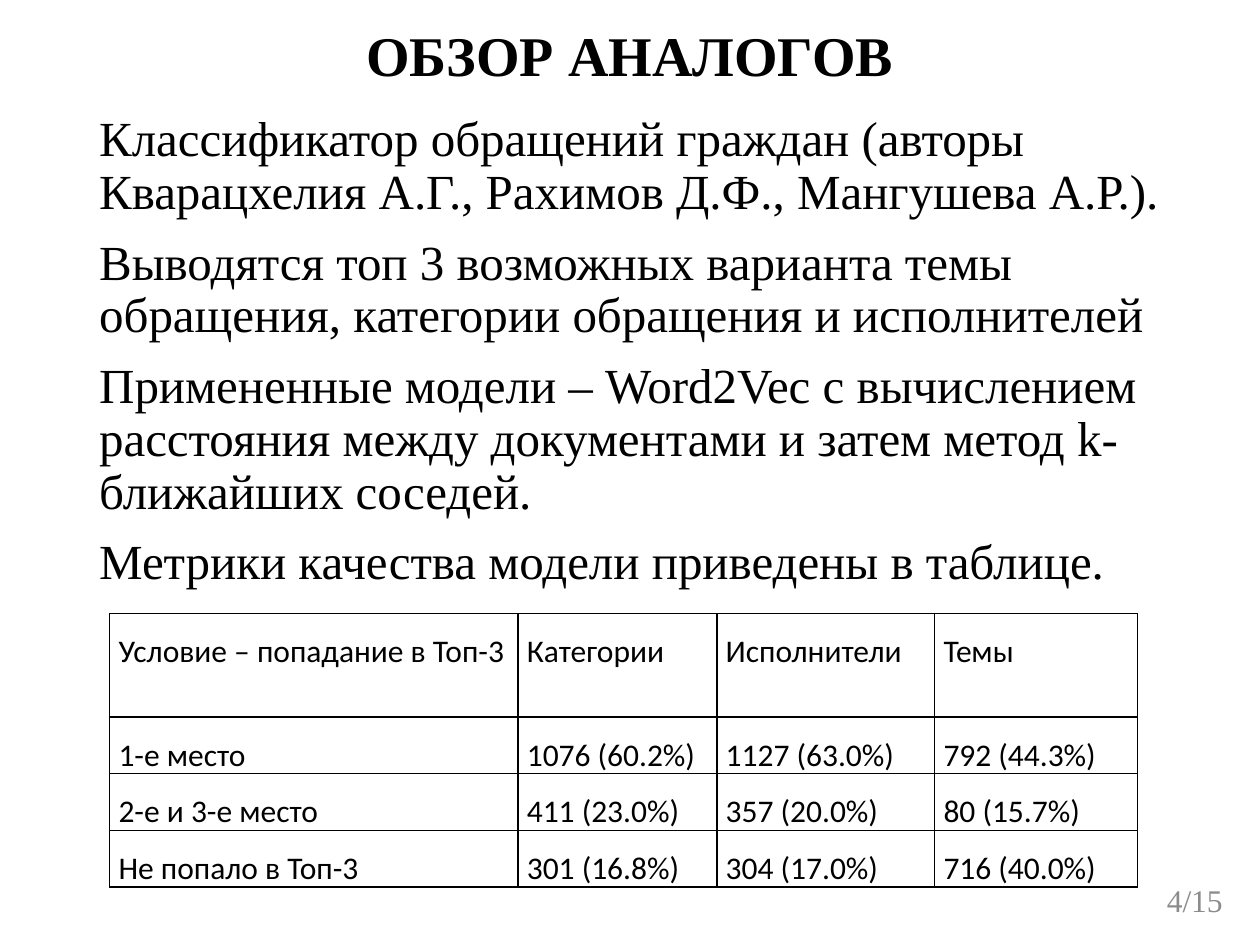
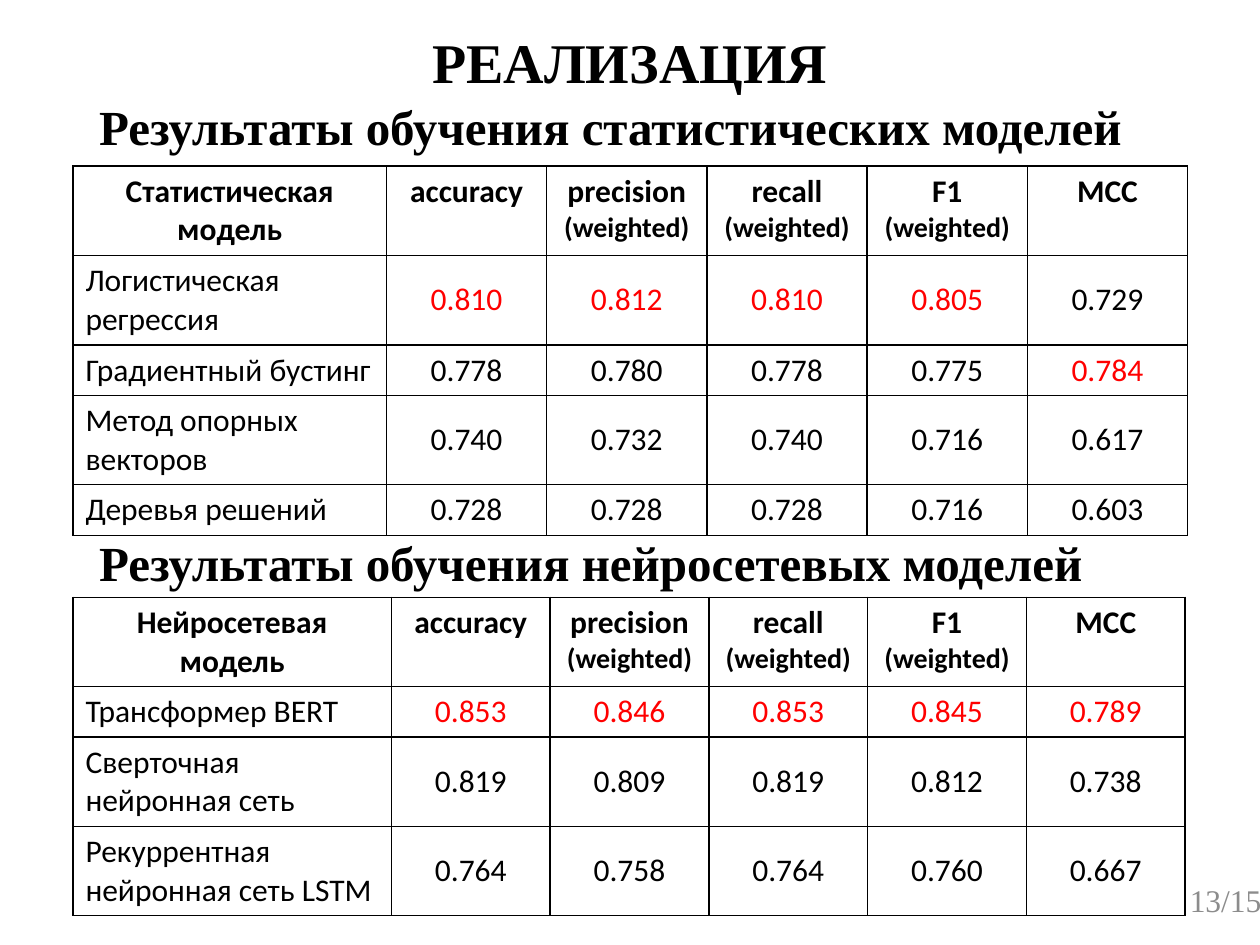
from lxml import etree
from pptx import Presentation
from pptx import util as u
from pptx.dml import color
from pptx.enum import text
from pptx.oxml import ns

# Shared style
SERIF, SANS = "Times New Roman", "Calibri"
BLACK, RED, GRAY = "000000", "FF0000", "8C8C8C"
LEFT, TITLE_WIDTH, LINE_HEIGHT = 1.75, 21.9, 1.35
ALIGN, ANCHOR = text.PP_ALIGN, text.MSO_ANCHOR
WEIGHTED = "(weighted)"
METRICS = ["accuracy", "precision " + WEIGHTED, "recall " + WEIGHTED,
           "F1 " + WEIGHTED, "MCC"]

# Slide content
OVERVIEW = [
    "Классификатор обращений граждан (авторы Кварацхелия А.Г., "
    "Рахимов Д.Ф., Мангушева А.Р.).",
    "Выводятся топ 3 возможных варианта темы обращения, "
    "категории обращения и исполнителей",
    "Примененные модели – Word2Vec c вычислением расстояния между "
    "документами и затем метод k-ближайших соседей.",
    "Метрики качества модели приведены в таблице.",
]
TOP3 = [
    ["Условие – попадание в Топ-3", "Категории", "Исполнители", "Темы"],
    ["1-е место", "1076 (60.2%)", "1127 (63.0%)", "792 (44.3%)"],
    ["2-е и 3-е место", "411 (23.0%)", "357 (20.0%)", "80 (15.7%)"],
    ["Не попало в Топ-3", "301 (16.8%)", "304 (17.0%)", "716 (40.0%)"],
]
STATISTICAL = [
    ["Статистическая модель"] + METRICS,
    ["Логистическая регрессия", "0.810", "0.812", "0.810", "0.805", "0.729"],
    ["Градиентный бустинг", "0.778", "0.780", "0.778", "0.775", "0.784"],
    ["Метод опорных векторов", "0.740", "0.732", "0.740", "0.716", "0.617"],
    ["Деревья решений", "0.728", "0.728", "0.728", "0.716", "0.603"],
]
NEURAL = [
    ["Нейросетевая модель"] + METRICS,
    ["Трансформер BERT", "0.853", "0.846", "0.853", "0.845", "0.789"],
    ["Сверточная нейронная сеть", "0.819", "0.809", "0.819", "0.812", "0.738"],
    ["Рекуррентная нейронная сеть LSTM",
     "0.764", "0.758", "0.764", "0.760", "0.667"],
]


def rgb(value):
    return color.RGBColor.from_string(value)


def style_run(run, size, font, fill=BLACK, bold=False):
    run.font.size = u.Pt(size)
    run.font.name = font
    run.font.bold = bold
    run.font.color.rgb = rgb(fill)


# Text elements
def add_text(slide, box, lines, size, fill=BLACK, bold=False,
             align=ALIGN.LEFT, anchor=ANCHOR.TOP, spacing=None, before=0):
    frame = slide.shapes.add_textbox(*map(u.Cm, box)).text_frame
    frame.word_wrap = True
    frame.vertical_anchor = anchor
    frame.text = "\n".join(lines)
    for paragraph in frame.paragraphs:
        paragraph.alignment = align
        paragraph.line_spacing = spacing
        paragraph.space_before = u.Pt(before)
        for run in paragraph.runs:
            style_run(run, size, SERIF, fill, bold)


def add_title(slide, title, top):
    add_text(slide, (LEFT, top, TITLE_WIDTH, LINE_HEIGHT), [title], 32,
             bold=True, align=ALIGN.CENTER, anchor=ANCHOR.MIDDLE, spacing=0.9)


def add_body(slide, lines, top, width, height=LINE_HEIGHT, bold=False):
    add_text(slide, (LEFT, top, width, height), lines, 28, bold=bold,
             spacing=0.9, before=10)


def add_page_number(slide, number, left):
    add_text(slide, (left, 17.63, 5.72, 1.02), [f"{number}/15"], 18, GRAY,
             align=ALIGN.RIGHT, anchor=ANCHOR.MIDDLE)


# Tables
def set_borders(cell):
    properties = cell._tc.get_or_add_tcPr()
    for index, side in enumerate(("a:lnL", "a:lnR", "a:lnT", "a:lnB")):
        line = etree.Element(ns.qn(side), w=str(u.Pt(1)))
        solid = etree.SubElement(line, ns.qn("a:solidFill"))
        etree.SubElement(solid, ns.qn("a:srgbClr"), val=BLACK)
        properties.insert(index, line)


def add_table(slide, left, top, widths, heights, rows):
    frame = slide.shapes.add_table(
        len(rows), len(widths), u.Cm(left), u.Cm(top),
        u.Cm(sum(widths)), u.Cm(sum(heights)))
    table = frame.table
    table.first_row = table.horz_banding = False
    for column, width in zip(table.columns, widths):
        column.width = u.Cm(width)
    for row, height, values in zip(table.rows, heights, rows):
        row.height = u.Cm(height)
        for cell, value in zip(row.cells, values):
            cell.text_frame.text = value
            cell.fill.background()
            set_borders(cell)
            style_run(cell.text_frame.paragraphs[0].runs[0], 18, SANS)
    return table


def add_top3_table(slide):
    table = add_table(slide, 2.21, 12.37, [8.23, 4.01, 4.39, 4.09],
                      [2.08, 1.07, 1.07, 1.07], TOP3)
    for cell in table.iter_cells():
        cell.margin_left = cell.margin_right = u.Cm(0.18)
        cell.margin_top = cell.margin_bottom = 0
        cell.text_frame.paragraphs[0].line_spacing = 1.5


def style_header(cell):
    paragraph = cell.text_frame.paragraphs[0]
    paragraph.alignment = ALIGN.CENTER
    run = paragraph.runs[0]
    run.font.bold = True
    if run.text.endswith(WEIGHTED):
        run.text = run.text.removesuffix(WEIGHTED)
        note = paragraph.add_run()
        note.text = WEIGHTED
        style_run(note, 16, SANS, bold=True)


def add_metrics_table(slide, top, name_width, metric_width, heights, rows):
    table = add_table(slide, 1.47, top, [name_width] + [metric_width] * 5,
                      heights, rows)
    for column in range(len(rows[0])):
        style_header(table.cell(0, column))
    # The best value of each metric is red
    for column in range(1, len(rows[0])):
        best = max(values[column] for values in rows[1:])
        for row in range(1, len(rows)):
            cell = table.cell(row, column)
            cell.vertical_anchor = ANCHOR.MIDDLE
            paragraph = cell.text_frame.paragraphs[0]
            paragraph.alignment = ALIGN.CENTER
            if rows[row][column] == best:
                paragraph.runs[0].font.color.rgb = rgb(RED)


# Slides
def build_overview(slide):
    add_title(slide, "ОБЗОР АНАЛОГОВ", 0.51)
    add_body(slide, OVERVIEW, 2.18, TITLE_WIDTH, 15.04)
    add_page_number(slide, 4, 19.18)
    add_top3_table(slide)


def build_results(slide):
    single, double = 1.02, 1.8
    add_metrics_table(slide, 12.04, 6.42, 3.2,
                      [double, single, double, double], NEURAL)
    add_body(slide, ["Результаты обучения статистических моделей"],
             1.96, 22.86, bold=True)
    add_metrics_table(slide, 3.35, 6.32, 3.23,
                      [double, double, single, double, single], STATISTICAL)
    add_body(slide, ["Результаты обучения нейросетевых моделей"],
             10.74, 22.45, bold=True)
    add_title(slide, "РЕАЛИЗАЦИЯ", 0.64)
    add_page_number(slide, 13, 19.96)


def main():
    presentation = Presentation()
    presentation.slide_width, presentation.slide_height = u.Cm(25.4), u.Cm(19.05)
    for build in (build_overview, build_results):
        build(presentation.slides.add_slide(presentation.slide_layouts[6]))
    presentation.save("out.pptx")


main()
